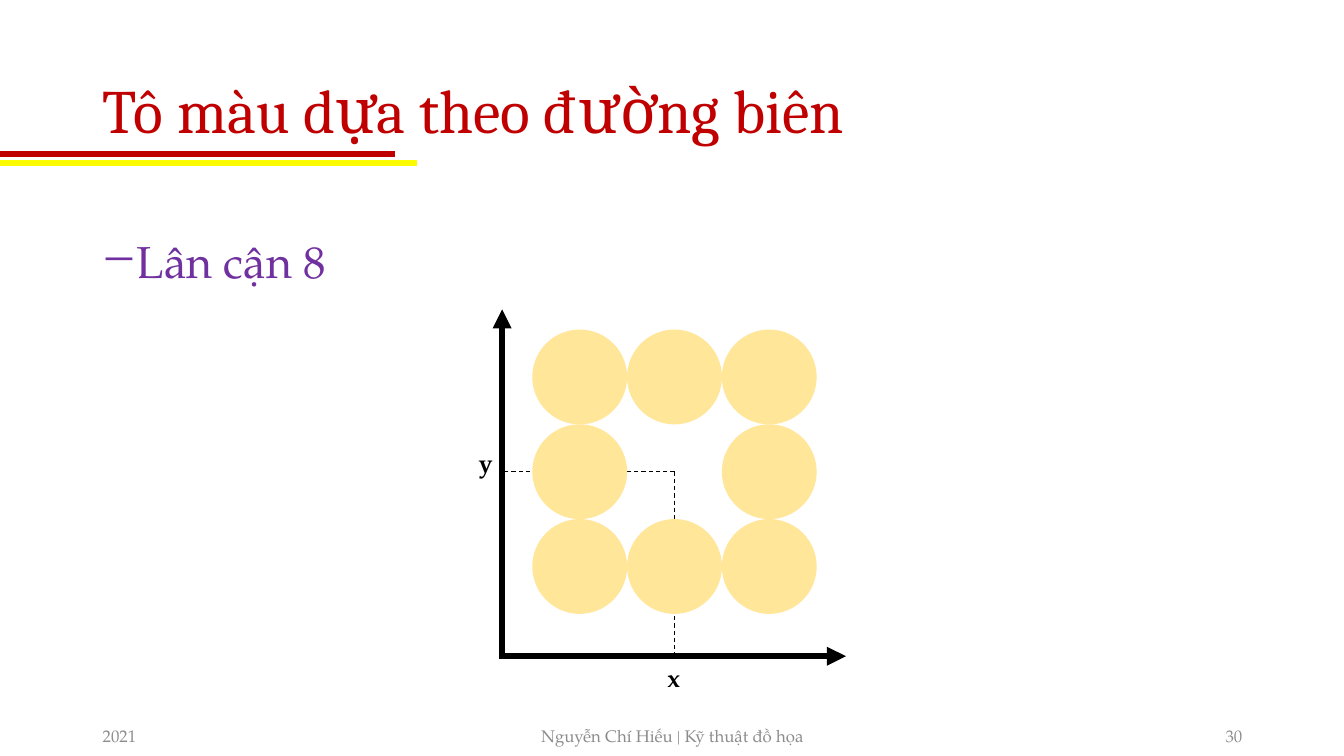
from itertools import product

from lxml.etree import SubElement
from pptx import Presentation
from pptx.dml.color import RGBColor
from pptx.enum.dml import MSO_LINE
from pptx.enum.shapes import MSO_CONNECTOR, MSO_SHAPE
from pptx.enum.text import MSO_ANCHOR, PP_ALIGN
from pptx.oxml.ns import qn
from pptx.util import Inches, Pt

RED = RGBColor(0xC0, 0x00, 0x00)
YELLOW = RGBColor(0xFC, 0xFB, 0x01)
PURPLE = RGBColor(0x70, 0x30, 0xA0)
GRAY = RGBColor(0x8C, 0x8C, 0x8C)
BLACK = RGBColor(0x00, 0x00, 0x00)
SAND = RGBColor(0xFF, 0xE6, 0x99)


class SlideBuilder:
    heading_font = "Cambria"
    body_font = "TeX Gyre Pagella"

    def __init__(self, slide):
        self.slide = slide

    def text(self, words, left, top, width, height, size, color, font=body_font,
             bold=False, align=PP_ALIGN.LEFT, anchor=MSO_ANCHOR.MIDDLE,
             wrap=True, spacing=None, bullet=None):
        box = self.slide.shapes.add_textbox(
            Inches(left), Inches(top), Inches(width), Inches(height))
        frame = box.text_frame
        frame.word_wrap = wrap
        frame.vertical_anchor = anchor
        paragraph = frame.paragraphs[0]
        paragraph.text = words
        if bullet:
            self.bullet(paragraph, bullet, color)
        paragraph.alignment = align
        if spacing:
            paragraph.line_spacing = spacing
        paragraph.font.name = font
        paragraph.font.size = Pt(size)
        paragraph.font.bold = bold
        paragraph.font.color.rgb = color

    def bullet(self, paragraph, mark, color):
        properties = paragraph._p.get_or_add_pPr()
        properties.set("marL", str(Inches(0.25)))
        properties.set("indent", str(Inches(-0.25)))
        bullet_color = SubElement(properties, qn("a:buClr"))
        SubElement(bullet_color, qn("a:srgbClr"), val=str(color))
        SubElement(properties, qn("a:buFont"), typeface=self.body_font)
        SubElement(properties, qn("a:buChar"), char=mark)

    def line(self, start, end, color, width, dashed=False, arrow=False):
        connector = self.slide.shapes.add_connector(
            MSO_CONNECTOR.STRAIGHT, *map(Inches, start + end))
        connector.line.color.rgb = color
        connector.line.width = Pt(width)
        if dashed:
            connector.line.dash_style = MSO_LINE.DASH
        if arrow:
            SubElement(connector.line._get_or_add_ln(), qn("a:tailEnd"), type="triangle")
        SubElement(connector._element.spPr, qn("a:effectLst"))

    def circle(self, center_x, center_y, diameter, color):
        circle = self.slide.shapes.add_shape(
            MSO_SHAPE.OVAL, Inches(center_x - diameter / 2),
            Inches(center_y - diameter / 2), Inches(diameter), Inches(diameter))
        circle.shadow.inherit = False
        circle.fill.solid()
        circle.fill.fore_color.rgb = color
        circle.line.fill.background()


def main():
    presentation = Presentation()
    presentation.slide_width = Inches(13.33)
    presentation.slide_height = Inches(7.5)
    builder = SlideBuilder(
        presentation.slides.add_slide(presentation.slide_layouts[6]))

    builder.line((0, 1.62), (4.14, 1.62), YELLOW, 4.25)
    builder.line((0, 1.53), (3.92, 1.53), RED, 4.25)
    builder.text("Tô màu dựa theo đường biên", 0.92, 0.4, 11.5, 1.45, 44, RED,
                 font=builder.heading_font, spacing=0.9)
    builder.text("Lân cận 8", 0.92, 2, 11.5, 5.1, 32, PURPLE,
                 anchor=MSO_ANCHOR.TOP, spacing=1.5, bullet="−")

    footers = [
        ("2021", 0.92, 3, PP_ALIGN.LEFT),
        ("Nguyễn Chí Hiếu | Kỹ thuật đồ họa", 4.42, 4.5, PP_ALIGN.CENTER),
        ("30", 9.42, 3, PP_ALIGN.RIGHT),
    ]
    for words, left, width, align in footers:
        builder.text(words, left, 7.1, width, 0.4, 12, GRAY, align=align)

    pixel_x, pixel_y = 6.69, 4.68
    axis_x, axis_y = 4.98, 6.51
    diameter = 0.94

    for guide_end in [(pixel_x, axis_y), (axis_x, pixel_y), (pixel_x, 5.97)]:
        builder.line((pixel_x, pixel_y), guide_end, BLACK, 0.75, dashed=True)
    builder.line((4.95, axis_y), (8.39, axis_y), BLACK, 4.5, arrow=True)
    builder.line((axis_x, axis_y), (axis_x, 3.07), BLACK, 4.5, arrow=True)

    for row, column in product((-1, 0, 1), repeat=2):
        if (row, column) != (0, 0):
            builder.circle(pixel_x + column * diameter,
                           pixel_y + row * diameter, diameter, SAND)

    for name, left, top in [("y", 4.65, 4.39), ("x", 6.52, 6.52)]:
        builder.text(name, left, top, 0.33, 0.4, 18, BLACK, bold=True,
                     anchor=MSO_ANCHOR.TOP, wrap=False)

    presentation.save("out.pptx")


if __name__ == "__main__":
    main()
